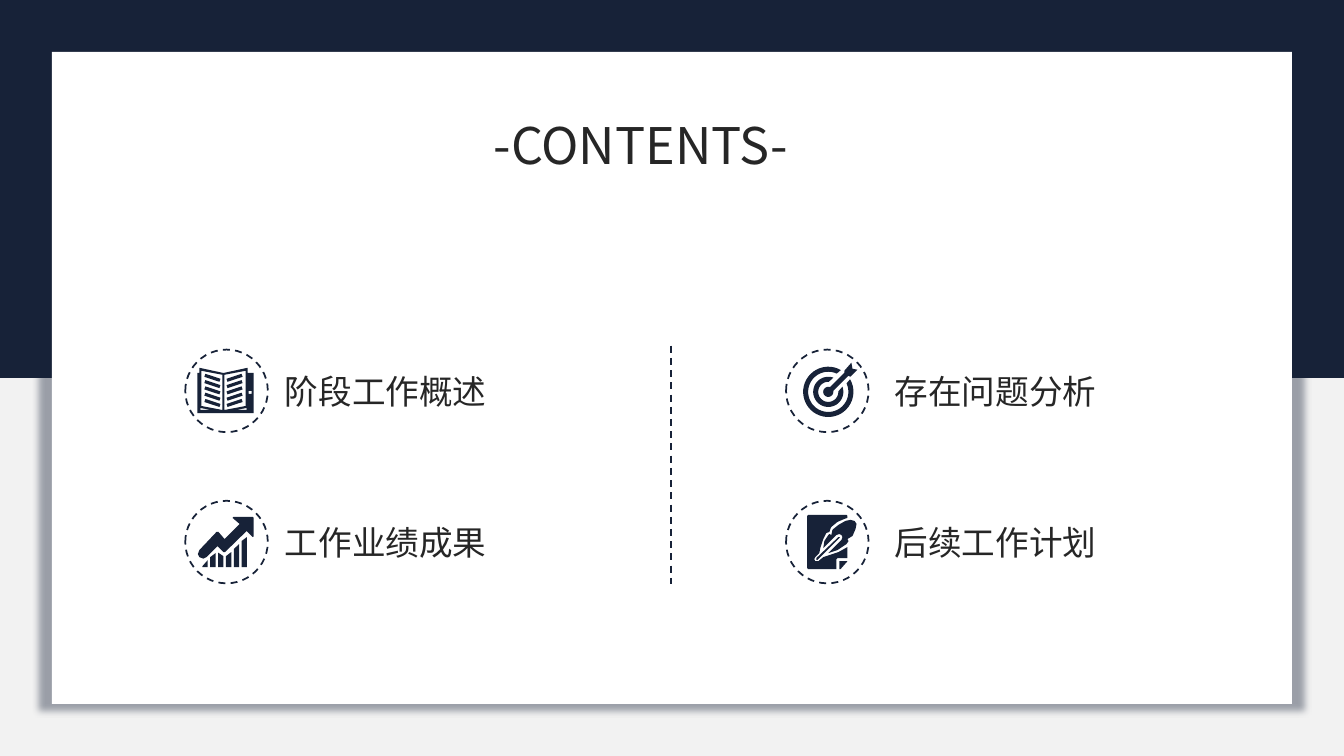
from math import cos, radians, sin
from lxml import etree
from pptx import Presentation
from pptx.dml.color import RGBColor
from pptx.enum.dml import MSO_LINE
from pptx.enum.shapes import MSO_CONNECTOR, MSO_SHAPE
from pptx.enum.text import MSO_AUTO_SIZE, PP_ALIGN
from pptx.oxml import parse_xml
from pptx.oxml.ns import qn
from pptx.util import Cm, Pt

RECT, OVAL = MSO_SHAPE.RECTANGLE, MSO_SHAPE.OVAL
STRAIGHT = MSO_CONNECTOR.STRAIGHT
DASH = MSO_LINE.DASH
JUSTIFY = PP_ALIGN.JUSTIFY
GROW = MSO_AUTO_SIZE.SHAPE_TO_FIT_TEXT
FONT = "Noto Sans CJK SC"
NAVY, WHITE, GREY, INK = "172238", "FFFFFF", "F2F2F2", "262626"
ICON_GRID = 82
SHADOW = (
    '<a:effectLst xmlns:a="http://schemas.openxmlformats.org/drawingml/2006/main">'
    '<a:outerShdw blurRad="63500" sx="102000" sy="102000" algn="ctr" rotWithShape="0">'
    f'<a:srgbClr val="{NAVY}"><a:alpha val="40000"/></a:srgbClr>'
    "</a:outerShdw></a:effectLst>"
)


def rgb(color):
    return RGBColor.from_string(color)


def fill(sp, color):
    sp.shadow.inherit = False
    sp.fill.solid()
    sp.fill.fore_color.rgb = rgb(color)
    sp.line.fill.background()


def dash(line):
    line.color.rgb = rgb(NAVY)
    line.width = Pt(1.25)
    line.dash_style = DASH


def add_rect(s, x, y, w, h, color):
    sp = s.shapes.add_shape(RECT, Cm(x), Cm(y), Cm(w), Cm(h))
    fill(sp, color)
    return sp


def add_text(s, x, y, w, h, text, size):
    tf = s.shapes.add_textbox(Cm(x), Cm(y), Cm(w), Cm(h)).text_frame
    tf.word_wrap = True
    tf.auto_size = GROW
    tf.text = text
    p = tf.paragraphs[0]
    p.alignment = JUSTIFY
    r = p.runs[0]
    r.font.size = Pt(size)
    r.font.name = FONT
    r.font.color.rgb = rgb(INK)
    etree.SubElement(r._r.get_or_add_rPr(), qn("a:ea")).set("typeface", FONT)


def arc(radius, start, end, center=42, steps=40):
    angles = [radians(start + (end - start) * i / steps) for i in range(steps + 1)]
    return [(center + radius * cos(a), center + radius * sin(a)) for a in angles]


def ring(outer, inner, outer_gap, inner_gap):
    return (arc(outer, outer_gap - 45, 315 - outer_gap)
            + arc(inner, 315 - inner_gap, inner_gap - 45))


def book():
    cover = [(62, 23), (62, 18), (39, 23), (37, 23), (14, 18), (14, 23),
             (12, 23), (12, 63), (68, 63), (68, 23)]
    clasp = [(63, 41), (66, 41), (66, 44), (63, 44)]
    left = [[(16, 21), (37, 25), (37, 60), (16, 56)],
            [(15, 60), (15, 58), (26, 60)]]
    for i in range(5):
        y = 6.25 * i
        left.append([(34, 32 + y), (19, 27 + y), (20, 24 + y), (35, 29 + y)])
    right = [[(76 - x, y) for x, y in outline] for outline in left]
    return [cover, clasp] + left + right


def growth():
    arrow = [(48, 16), (67, 16), (68, 17), (68, 35.5), (67, 36), (61, 30),
             (39.5, 51), (38, 51), (32, 45), (21, 56), (18, 57.5), (14, 56),
             (12.5, 53), (14, 49), (31, 31), (33, 31), (39, 38), (54, 23),
             (47, 17)]
    tops = [(65, 59), (56, 52), (51.5, 55), (55, 51), (48, 43), (40, 36)]
    outlines = [arrow]
    for i, (start, end) in enumerate(tops):
        x = 17 + 7.8 * i
        outlines.append([(x, 66), (x, start), (x + 5.3, end), (x + 5.3, 66)])
    return outlines


def target():
    dart = [(58, 23), (58, 21), (65, 13), (66, 19), (71, 20), (64, 27), (62, 26)]
    return [ring(25, 20, 15, 20), ring(15, 10, 25, 42), dart + arc(5, -10, 290)]


def quill():
    fold = [(53, 60), (61, 60), (54, 68), (53, 68)]
    nib = [(52, 36), (53.5, 36), (53, 37), (31, 59), (30, 58.5), (30, 57)]
    feather = [(64, 19), (68, 20), (70, 23), (69, 28), (66, 35), (61, 38),
               (62, 40), (60, 43), (51, 49), (42, 52), (55, 39), (56, 36),
               (55, 34), (53, 33), (50, 34), (37, 47), (38, 40), (42, 34),
               (43, 33), (45, 34), (46, 29), (47, 28), (52, 24), (59, 20)]
    paper = [(22, 14), (60, 14), (61, 15), (61, 17), (58, 18), (51, 21),
             (45, 26), (44, 28), (43, 31), (40, 32), (37, 38), (34, 47),
             (33, 52), (29, 56), (28, 58), (29, 60), (32, 60), (37, 56),
             (43, 54), (52, 51), (61, 46), (61, 57), (51, 57), (50, 58),
             (50, 68), (22, 68), (21, 67), (21, 15)]
    return [fold, nib, feather, paper]


def add_icon(s, x, y, size, outlines):
    scaled = [[(100 * px, 100 * py) for px, py in outline] for outline in outlines]
    builder = s.shapes.build_freeform(*scaled[0][0], scale=Cm(size) / ICON_GRID / 100)
    for i, outline in enumerate(scaled):
        if i:
            builder.move_to(*outline[0])
        builder.add_line_segments(outline[1:], close=True)
    fill(builder.convert_to_shape(Cm(x), Cm(y)), NAVY)


def add_item(s, x, y, size, gap, text, outlines):
    add_icon(s, x, y, size, outlines)
    sp = s.shapes.add_shape(OVAL, Cm(x), Cm(y), Cm(size), Cm(size))
    sp.shadow.inherit = False
    sp.fill.background()
    dash(sp.line)
    add_text(s, x + size + gap, y + 0.41, 6.88, 1.27, text, 24)


def add_divider(s, x, y, h):
    c = s.shapes.add_connector(STRAIGHT, Cm(x), Cm(y), Cm(x), Cm(y + h))
    dash(c.line)
    etree.SubElement(c._element.spPr, qn("a:effectLst"))


def add_backdrop(s, w, h):
    s.background.fill.solid()
    s.background.fill.fore_color.rgb = rgb(GREY)
    add_rect(s, 0, 0, w, h / 2, NAVY)


def add_panel(s, x, y, w, h):
    sp = add_rect(s, x, y, w, h, WHITE)
    spPr = sp._element.spPr
    spPr.replace(spPr.find(qn("a:effectLst")), parse_xml(SHADOW))
    add_text(s, x + 10.88, y + 1.45, 9.47, 1.8, "-CONTENTS-", 36)


def add_contents(s, x, y):
    columns = [
        (0, 0.18, [("阶段工作概述", book()), ("工作业绩成果", growth())]),
        (15.14, 0.41, [("存在问题分析", target()), ("后续工作计划", quill())]),
    ]
    for dx, gap, items in columns:
        for row, (text, outlines) in enumerate(items):
            add_item(s, x + dx, y + 3.81 * row, 2.08, gap, text, outlines)
    add_divider(s, x + 12.24, y - 0.1, 6)


def main():
    prs = Presentation()
    prs.slide_width, prs.slide_height = Cm(33.87), Cm(19.05)
    s = prs.slides.add_slide(prs.slide_layouts[6])
    add_backdrop(s, 33.87, 19.05)
    add_panel(s, 1.31, 1.31, 31.25, 16.43)
    add_contents(s, 4.67, 8.81)
    prs.save("out.pptx")


if __name__ == "__main__":
    main()
